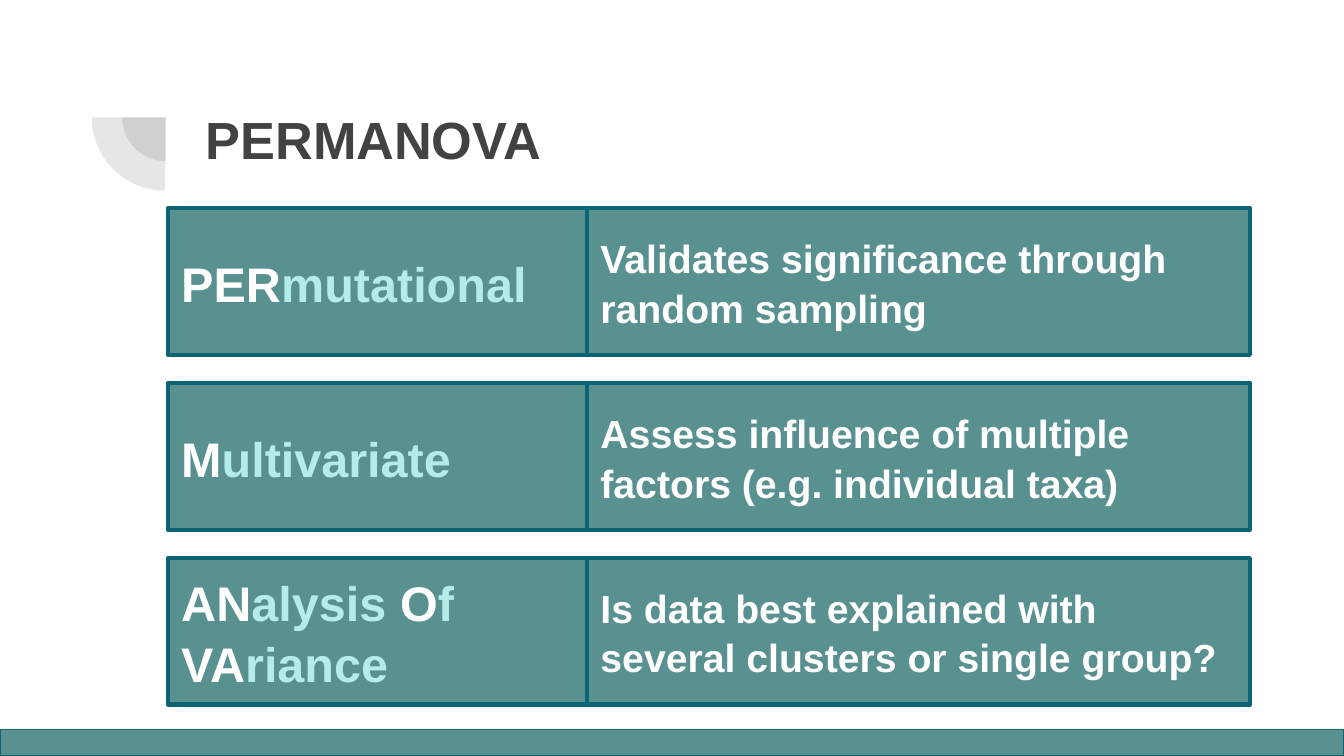
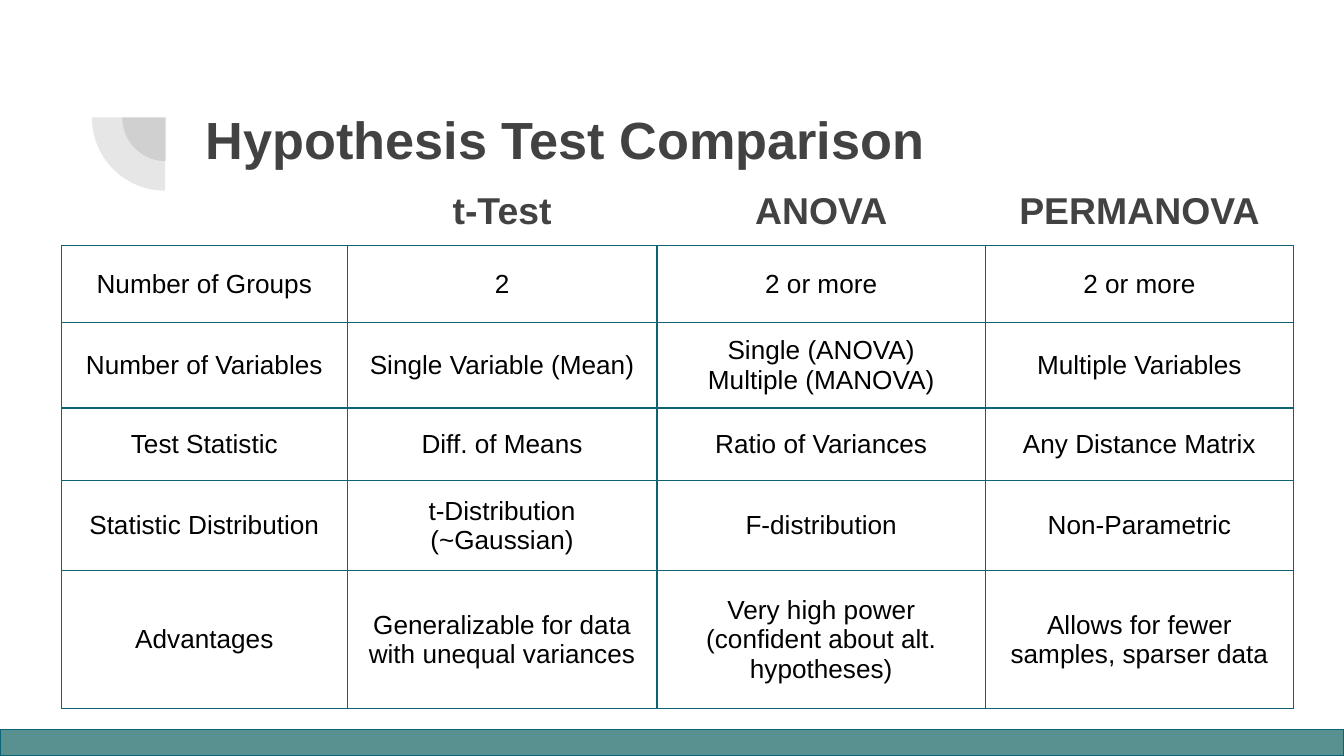
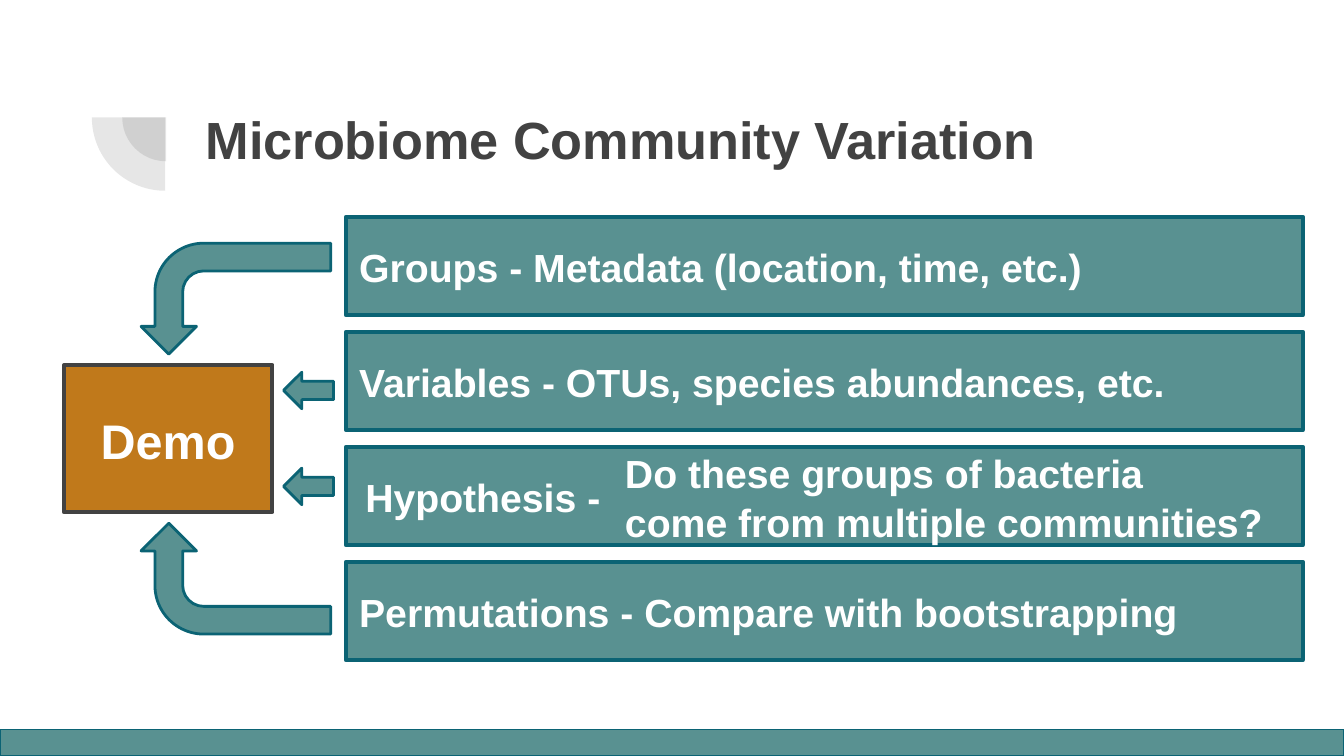
"""Build three slides on PERMANOVA and hypothesis testing."""
import dataclasses
import itertools

import lxml.etree
import pptx
import pptx.dml.color
import pptx.enum.shapes
import pptx.enum.text
import pptx.oxml.ns
import pptx.util

Pt = pptx.util.Pt
SHAPE = pptx.enum.shapes.MSO_SHAPE
ALIGN = pptx.enum.text.PP_ALIGN
ANCHOR = pptx.enum.text.MSO_ANCHOR


@dataclasses.dataclass(frozen=True)
class Theme:
    """Colours, font, type sizes and spacing shared by all slides."""
    font: str = "Arial"
    teal: str = "599191"
    edge: str = "0B6374"
    accent: str = "B4ECE9"
    orange: str = "C0791B"
    dark: str = "424242"
    white: str = "FFFFFF"
    black: str = "000000"
    title: float = 28
    term: float = 26
    body: float = 21
    header: float = 20
    cell: float = 14
    inset: float = 7.2
    title_spacing: float = 1.1
    body_spacing: float = 1.05


THEME = Theme()


def rgb(value):
    """Return a colour object for a hex value."""
    return pptx.dml.color.RGBColor.from_string(value)


def add_child(parent, tag, **attributes):
    """Append a DrawingML element and return it."""
    return lxml.etree.SubElement(parent, pptx.oxml.ns.qn(tag), attributes)


def write_text(frame, lines, *, size, colors=(THEME.white,), bold=True,
               align=ALIGN.LEFT, spacing=None, anchor=ANCHOR.MIDDLE, left=THEME.inset):
    """Fill a frame with lines, each a tuple of spans that take the colours in turn."""
    frame.word_wrap = True
    frame.vertical_anchor = anchor
    frame.margin_left = Pt(left)
    frame.margin_right = frame.margin_top = frame.margin_bottom = Pt(THEME.inset)
    for number, spans in enumerate(lines):
        para = frame.add_paragraph() if number else frame.paragraphs[0]
        para.alignment = align
        para.line_spacing = spacing
        for text, color in zip(spans, itertools.cycle(colors)):
            span = para.add_run()
            span.text = text
            span.font.name = THEME.font
            span.font.size = Pt(size)
            span.font.bold = bold
            span.font.color.rgb = rgb(color)


def add_box(shapes, left, top, width, height, *, kind=SHAPE.RECTANGLE, fill=THEME.teal,
            line=THEME.edge, weight=2.25, rotation=0, flip=False, adjust=()):
    """Add a preset shape with a flat fill and an optional line."""
    box = shapes.add_shape(kind, Pt(left), Pt(top), Pt(width), Pt(height))
    box.shadow.inherit = False
    box.fill.solid()
    box.fill.fore_color.rgb = rgb(fill)
    if line:
        box.line.color.rgb = rgb(line)
        box.line.width = Pt(weight)
    else:
        box.line.fill.background()
    box.rotation = rotation
    if flip:
        box._element.spPr.xfrm.set("flipH", "1")
    for index, value in enumerate(adjust):
        box.adjustments[index] = value
    return box


def add_text_box(shapes, frame, lines, *, size=THEME.body, colors=(THEME.white,),
                 align=ALIGN.LEFT, left=THEME.inset, **look):
    """Add a filled box at the given frame and write its lines."""
    box = add_box(shapes, *frame, **look)
    write_text(box.text_frame, lines, size=size, colors=colors, align=align,
               spacing=THEME.body_spacing, left=left)
    return box


def add_quarter_rings(page):
    """Add the two translucent quarter circles beside the title."""
    group = page.shapes.add_group_shape()
    for left, top, side in ((65.5, 39.4, 47), (49.2, 23.6, 78.6)):
        ring = add_box(group.shapes, left, top, side, side, kind=SHAPE.PIE,
                       fill=THEME.dark, line=None, rotation=270, adjust=(108, 162))
        color = ring._element.spPr.find(".//" + pptx.oxml.ns.qn("a:srgbClr"))
        add_child(color, "a:alpha", val="13000")


def add_page(deck, title, title_height):
    """Add a slide with the shared title, ornament and footer band."""
    page = deck.slides.add_slide(deck.slide_layouts[5])
    add_quarter_rings(page)
    box = page.shapes.title
    box.left, box.top, box.width, box.height = Pt(103), Pt(46.8), Pt(553.7), Pt(title_height)
    box.text_frame.auto_size = pptx.enum.text.MSO_AUTO_SIZE.NONE
    write_text(box.text_frame, [(title,)], size=THEME.title, colors=(THEME.dark,),
               anchor=ANCHOR.TOP, spacing=THEME.title_spacing)
    add_box(page.shapes, 0, 390.8, 720, 14.2, weight=0.75)
    return page


def set_borders(cell, sides):
    """Draw the named sides of a cell and clear the others."""
    properties = cell._tc.get_or_add_tcPr()
    for index, side in enumerate("LRTB"):
        line = add_child(properties, "a:ln" + side, w=str(Pt(0.75)))
        properties.insert(index, line)
        if side in sides:
            fill = add_child(line, "a:solidFill")
            add_child(fill, "a:srgbClr", val=THEME.edge)
        else:
            add_child(line, "a:noFill")


def add_grid(page, left, top, widths, heights, rows):
    """Add a bordered table whose first row is an open header."""
    table = page.shapes.add_table(len(rows), len(widths), Pt(left), Pt(top),
                                  Pt(sum(widths)), Pt(sum(heights))).table
    table.first_row = table.horz_banding = False
    for column, width in zip(table.columns, widths):
        column.width = Pt(width)
    for number, (row, height, texts) in enumerate(zip(table.rows, heights, rows)):
        row.height = Pt(height)
        header = number == 0
        for cell, text in zip(row.cells, texts):
            cell.fill.background()
            set_borders(cell, "B" if header else "LRTB")
            cell.vertical_anchor = ANCHOR.MIDDLE
            cell.margin_left = cell.margin_right = Pt(THEME.inset)
            cell.margin_top = cell.margin_bottom = Pt(THEME.inset)
            if text:
                write_text(cell.text_frame, [(line,) for line in text.split("\n")],
                           size=THEME.header if header else THEME.cell,
                           colors=(THEME.dark if header else THEME.black,),
                           bold=header, align=ALIGN.CENTER)


def build_permanova(deck):
    """Build the slide that spells out the acronym."""
    page = add_page(deck, "PERMANOVA", 41.8)
    rows = (
        ([("PER", "mutational")], "Validates significance through random sampling"),
        ([("M", "ultivariate")], "Assess influence of multiple factors (e.g. individual taxa)"),
        ([("AN", "alysis ", "O", "f"), ("VA", "riance")],
         "Is data best explained with several clusters or single group?"),
    )
    for index, (term, meaning) in enumerate(rows):
        top = 111.6 + 93.7 * index
        add_text_box(page.shapes, (90, top, 512.6, 78.5), term, size=THEME.term,
                     colors=(THEME.white, THEME.accent))
        add_text_box(page.shapes, (314.6, top, 355, 78.5), [(meaning,)])


def build_comparison(deck):
    """Build the slide that compares the tests in a table."""
    page = add_page(deck, "Hypothesis Test Comparison", 47.5)
    rows = (
        ("", "t-Test", "ANOVA", "PERMANOVA"),
        ("Number of Groups", "2", "2 or more", "2 or more"),
        ("Number of Variables", "Single Variable (Mean)",
         "Single (ANOVA)\nMultiple (MANOVA)", "Multiple Variables"),
        ("Test Statistic", "Diff. of Means", "Ratio of Variances", "Any Distance Matrix"),
        ("Statistic Distribution", "t-Distribution (~Gaussian)", "F-distribution",
         "Non-Parametric"),
        ("Advantages", "Generalizable for data with unequal variances",
         "Very high power (confident about alt. hypotheses)",
         "Allows for fewer samples, sparser data"),
    )
    add_grid(page, 33, 95, (153, 166, 176, 165), (28.8, 41, 41.8, 39, 48, 74.2), rows)


def build_variation(deck):
    """Build the slide that feeds four inputs into the demo."""
    page = add_page(deck, "Microbiome Community Variation", 78.5)
    inputs = (
        (["Groups - Metadata (location, time, etc.)"], THEME.inset),
        (["Variables - OTUs, species abundances, etc."], THEME.inset),
        (["Do these groups of bacteria", "come from multiple communities?"], 149.5),
        (["Permutations - Compare with bootstrapping"], THEME.inset),
    )
    group = page.shapes.add_group_shape()
    for index, (lines, left) in enumerate(inputs):
        add_text_box(group.shapes, (185.3, 116.2 + 61.6 * index, 512.6, 52.6),
                     [(line,) for line in lines], left=left)
    add_text_box(group.shapes, (188.6, 242.2, 144.7, 46.8), [("Hypothesis -",)], line=None)
    add_text_box(page.shapes, (34.3, 195.6, 111.6, 78.8), [("Demo",)], size=THEME.term,
                 align=ALIGN.CENTER, fill=THEME.orange, line=THEME.dark)
    for top, flip in ((109.2, True), (259.2, False)):
        add_box(page.shapes, 96.7, top, 59.4, 101.6, kind=SHAPE.BENT_ARROW, weight=1.5,
                rotation=270, flip=flip, adjust=(0.25, 0.25, 0.25, 0.44))
    for top in (199.4, 250.8):
        add_box(page.shapes, 151.9, top, 26.8, 19.6, kind=SHAPE.RIGHT_ARROW, weight=1.5,
                flip=True)


def main():
    """Build and save the deck."""
    deck = pptx.Presentation()
    deck.slide_width, deck.slide_height = Pt(720), Pt(405)
    build_permanova(deck)
    build_comparison(deck)
    build_variation(deck)
    deck.save("out.pptx")


main()
